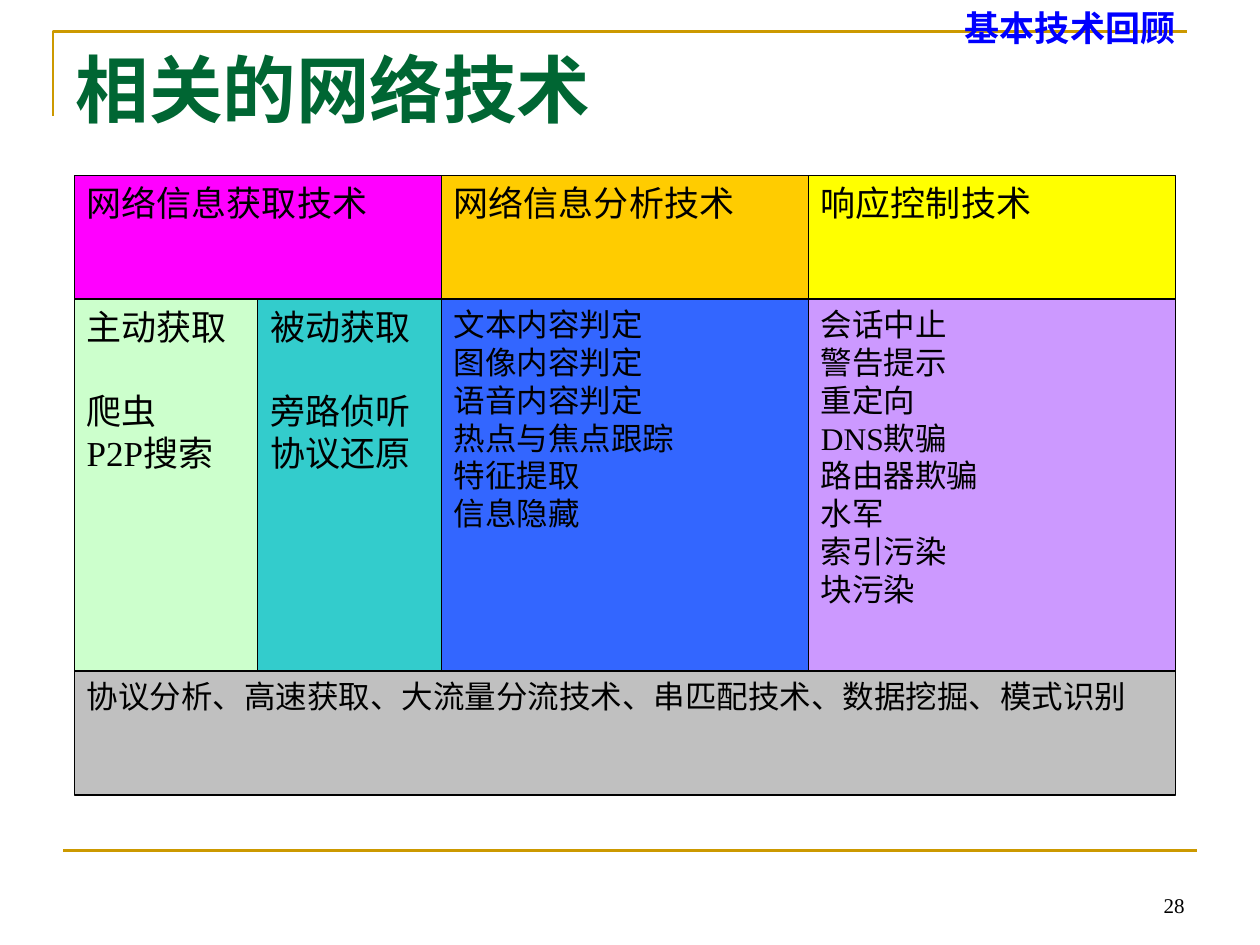
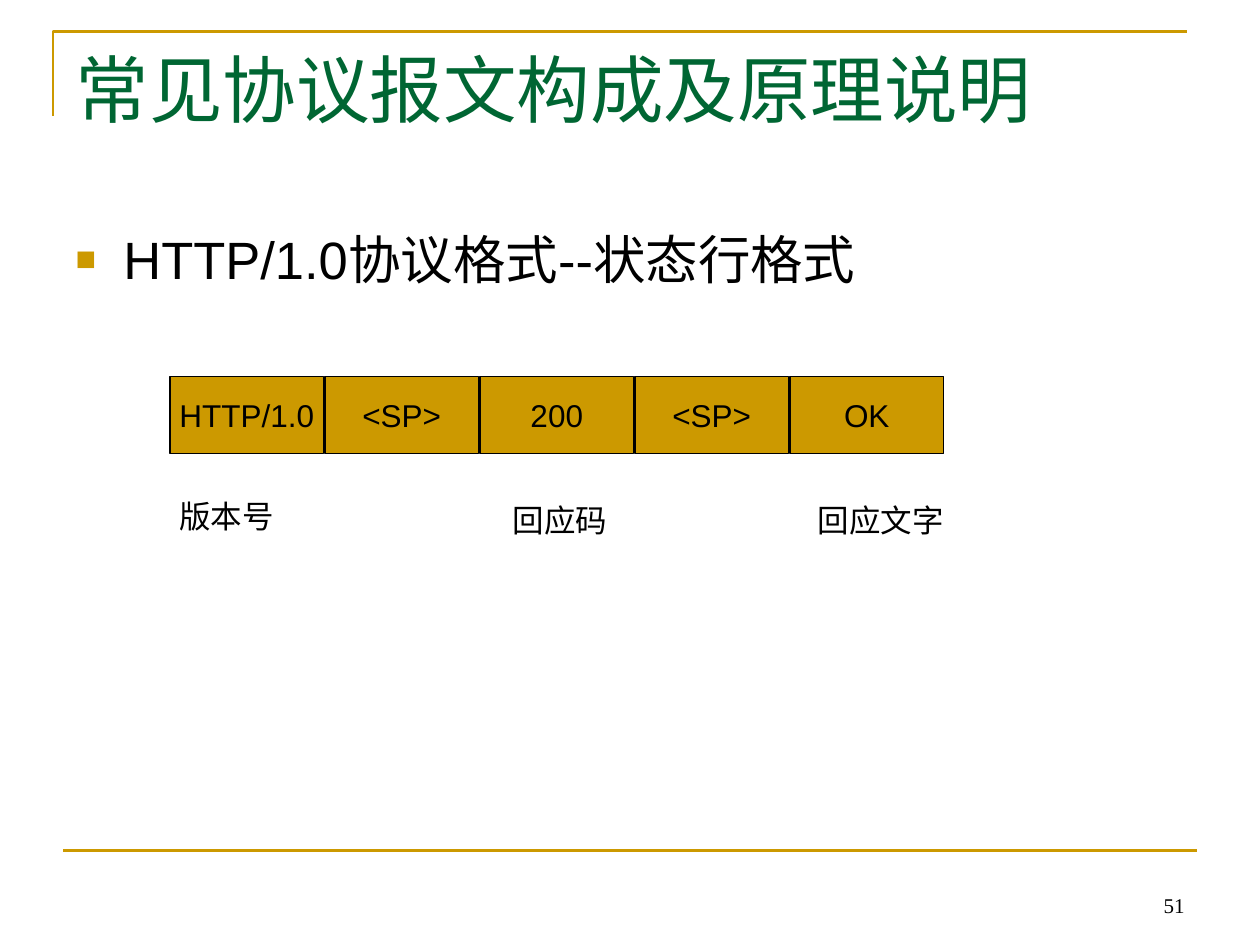
"""Builds two lecture slides: a map of network technologies and the HTTP status line."""
from dataclasses import dataclass
from typing import Any, NamedTuple

from lxml.etree import SubElement
from pptx import Presentation
from pptx.dml.color import RGBColor
from pptx.enum.shapes import MSO_CONNECTOR as Connector, MSO_SHAPE as Preset
from pptx.enum.text import MSO_ANCHOR as Anchor, MSO_AUTO_SIZE as AutoSize, PP_ALIGN as Align
from pptx.oxml.ns import qn
from pptx.util import Emu, Inches, Pt


@dataclass(frozen=True)
class Theme:
    gold: str = "CC9900"
    green: str = "006633"
    ink: str = "000000"
    badge: str = "0000FF"
    serif: str = "Times New Roman"
    sans: str = "Arial"
    title_size: int = 42
    body_size: int = 30
    heading_size: int = 20
    detail_size: int = 18
    number_size: int = 12
    rule_width: float = 1.5
    border_width: float = 0.75


THEME = Theme()


class Span(NamedTuple):
    col: float
    row: float
    cols: float
    rows: float


@dataclass(frozen=True)
class Grid:
    left: float
    top: float
    width: float
    height: float
    cols: int
    rows: int

    def point(self, col: float, row: float) -> tuple[Emu, Emu]:
        return (Inches(self.left + col * self.width / self.cols),
                Inches(self.top + row * self.height / self.rows))

    def box(self, span: Span) -> tuple[Emu, Emu, Emu, Emu]:
        left, top = self.point(span.col, span.row)
        right, bottom = self.point(span.col + span.cols, span.row + span.rows)
        return left, top, Emu(right - left), Emu(bottom - top)


PAGE = Grid(0, 0, 10, 7.5, cols=20, rows=30)
TECH_MAP = Grid(0.59, 1.39, 8.74, 4.92, cols=6, rows=5)
STATUS_LINE = Grid(1.35, 2.99, 6.15, 0.61, cols=5, rows=1)

FRAME_CORNERS = (0.84, 3.68), (0.84, 1), (18.84, 1)
RULE_ENDS = (1, 27), (19, 27)
TITLE_SPAN = Span(1, 1.2, 18, 5)
BODY_SPAN = Span(1, 7, 18, 19.8)
NUMBER_SPAN = Span(14.34, 27.32, 4.66, 2)
BADGE_SPAN = Span(15.12, 0, 4.88, 1.76)
LABEL_COLS, LABEL_ROWS = 1.01, 0.66
FIELD_COLS = 0.99


class Line(NamedTuple):
    text: str
    font: str = THEME.serif
    before: float = 0


class Style(NamedTuple):
    size: float
    color: str = THEME.ink
    bold: bool = False
    align: Align = Align.LEFT
    anchor: Anchor = Anchor.TOP
    wrap: bool = True


class Topic(NamedTuple):
    span: Span
    fill: str
    size: int
    lines: tuple[Line, ...]


class Label(NamedTuple):
    text: str
    col: float
    row: float


def lines(*texts: str, font: str = THEME.serif) -> tuple[Line, ...]:
    return tuple(Line(text, font) for text in texts)


def capture_lines(heading: str, *methods: str) -> tuple[Line, ...]:
    first, *rest = methods
    return Line(heading), Line(first, before=24), *lines(*rest)


HEADING, DETAIL = THEME.heading_size, THEME.detail_size
TOPICS = (
    Topic(Span(0, 0, 2, 1), "FF00FF", HEADING, lines("网络信息获取技术")),
    Topic(Span(2, 0, 2, 1), "FFCC00", HEADING, lines("网络信息分析技术")),
    Topic(Span(4, 0, 2, 1), "FFFF00", HEADING, lines("响应控制技术")),
    Topic(Span(0, 1, 1, 3), "CCFFCC", HEADING, capture_lines("主动获取", "爬虫", "P2P搜索")),
    Topic(Span(1, 1, 1, 3), "33CCCC", HEADING, capture_lines("被动获取", "旁路侦听", "协议还原")),
    Topic(Span(2, 1, 2, 3), "3366FF", DETAIL,
          lines("文本内容判定", "图像内容判定", "语音内容判定", "热点与焦点跟踪")
          + lines("特征提取", "信息隐藏", font=THEME.sans)),
    Topic(Span(0, 4, 6, 1), "C0C0C0", DETAIL,
          lines("协议分析、高速获取、大流量分流技术、串匹配技术、数据挖掘、模式识别")),
    Topic(Span(4, 1, 2, 3), "CC99FF", DETAIL,
          lines("会话中止", "警告提示", "重定向", "DNS欺骗", "路由器欺骗", "水军", "索引污染", "块污染")),
)
STATUS_FIELDS = "HTTP/1.0", "<SP>", "200", "<SP>", "OK"
FIELD_LABELS = (
    Label("版本号", -0.02, 1.49),
    Label("回应码", 2.13, 1.54),
    Label("回应文字", 4.1, 1.54),
)


def apply(target: Any, values: dict[str, Any]) -> None:
    for name, value in values.items():
        setattr(target, name, value)


def write(shape: Any, content: tuple[Line, ...], style: Style) -> None:
    frame = shape.text_frame
    apply(frame, {
        "auto_size": AutoSize.NONE, "word_wrap": style.wrap, "vertical_anchor": style.anchor,
        "margin_left": Inches(0.1), "margin_right": Inches(0.1),
        "margin_top": Inches(0.05), "margin_bottom": Inches(0.05),
    })
    for index, line in enumerate(content):
        paragraph = frame.add_paragraph() if index else frame.paragraphs[0]
        apply(paragraph, {"alignment": style.align, "space_before": Pt(line.before)})
        run = paragraph.add_run()
        run.text = line.text
        apply(run.font, {"name": line.font, "size": Pt(style.size), "bold": style.bold})
        run.font.color.rgb = RGBColor.from_string(style.color)


def place(shape: Any, span: Span) -> None:
    apply(shape, dict(zip(("left", "top", "width", "height"), PAGE.box(span))))


def add_text(slide: Any, grid: Grid, span: Span, line: Line, style: Style) -> None:
    write(slide.shapes.add_textbox(*grid.box(span)), (line,), style)


def add_cell(slide: Any, grid: Grid, span: Span, fill: str,
             content: tuple[Line, ...], style: Style) -> None:
    cell = slide.shapes.add_shape(Preset.RECTANGLE, *grid.box(span))
    cell.shadow.inherit = False
    cell.fill.solid()
    cell.fill.fore_color.rgb = RGBColor.from_string(fill)
    draw_line(cell, THEME.ink, THEME.border_width)
    write(cell, content, style)


def draw_line(shape: Any, color: str, width: float) -> None:
    shape.line.color.rgb = RGBColor.from_string(color)
    shape.line.width = Pt(width)


def add_frame(slide: Any) -> None:
    start, *corners = (PAGE.point(*corner) for corner in FRAME_CORNERS)
    builder = slide.shapes.build_freeform(*start, scale=1.0)
    builder.add_line_segments(corners, close=False)
    bracket = builder.convert_to_shape()
    bracket.shadow.inherit = False
    bracket.fill.background()
    draw_line(bracket, THEME.gold, THEME.rule_width)

    begin, end = (PAGE.point(*tip) for tip in RULE_ENDS)
    rule = slide.shapes.add_connector(Connector.STRAIGHT, *begin, *end)
    draw_line(rule, THEME.gold, THEME.rule_width)
    SubElement(rule._element.spPr, qn("a:effectLst"))


def start_slide(deck: Any, layout: int, title: str, number: int, bold: bool = False) -> Any:
    slide = deck.slides.add_slide(deck.slide_layouts[layout])
    add_frame(slide)
    add_text(slide, PAGE, NUMBER_SPAN, Line(str(number)),
             Style(THEME.number_size, align=Align.RIGHT, anchor=Anchor.BOTTOM))
    place(slide.shapes.title, TITLE_SPAN)
    write(slide.shapes.title, lines(title), Style(THEME.title_size, THEME.green, bold))
    return slide


def add_square_bullet(paragraph: Any) -> None:
    properties = paragraph._p.get_or_add_pPr()
    indent = Inches(0.38)
    properties.set("marL", str(indent))
    properties.set("indent", str(-indent))
    color = SubElement(properties, qn("a:buClr"))
    SubElement(color, qn("a:srgbClr"), val=THEME.gold)
    SubElement(properties, qn("a:buSzPct"), val="65000")
    SubElement(properties, qn("a:buFont"), typeface=THEME.sans)
    SubElement(properties, qn("a:buChar"), char="■")


def build_technology_slide(deck: Any) -> None:
    slide = start_slide(deck, 5, "相关的网络技术", 28, bold=True)
    for topic in TOPICS:
        add_cell(slide, TECH_MAP, topic.span, topic.fill, topic.lines,
                 Style(topic.size, align=Align.JUSTIFY))
    add_text(slide, PAGE, BADGE_SPAN, Line("基本技术回顾", THEME.sans),
             Style(HEADING, THEME.badge, bold=True))


def build_status_line_slide(deck: Any) -> None:
    slide = start_slide(deck, 1, "常见协议报文构成及原理说明", 51)
    body = slide.placeholders[1]
    place(body, BODY_SPAN)
    add_square_bullet(body.text_frame.paragraphs[0])
    write(body, lines("HTTP/1.0协议格式--状态行格式", font=THEME.sans), Style(THEME.body_size))

    field_style = Style(DETAIL, align=Align.CENTER, anchor=Anchor.MIDDLE, wrap=False)
    for col, field in enumerate(STATUS_FIELDS):
        add_cell(slide, STATUS_LINE, Span(col, 0, FIELD_COLS, 1), THEME.gold,
                 lines(field, font=THEME.sans), field_style)
    for label in FIELD_LABELS:
        add_text(slide, STATUS_LINE, Span(label.col, label.row, LABEL_COLS, LABEL_ROWS),
                 Line(label.text, THEME.sans), Style(DETAIL))


def main() -> None:
    deck = Presentation()
    apply(deck, {"slide_width": Inches(PAGE.width), "slide_height": Inches(PAGE.height)})
    build_technology_slide(deck)
    build_status_line_slide(deck)
    deck.save("out.pptx")


if __name__ == "__main__":
    main()
